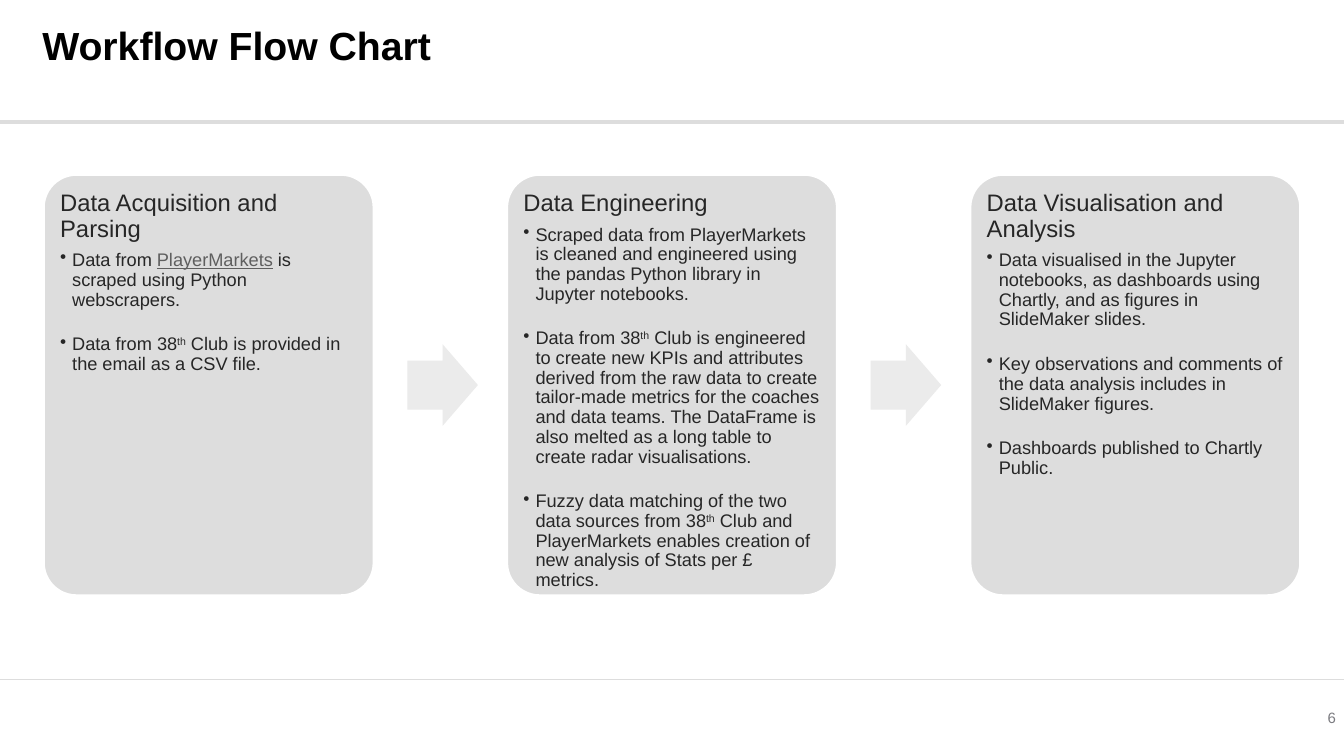
from dataclasses import dataclass

from lxml.etree import SubElement
from pptx import Presentation
from pptx.dml.color import RGBColor
from pptx.enum.shapes import MSO_CONNECTOR, MSO_SHAPE
from pptx.enum.text import MSO_ANCHOR, PP_ALIGN
from pptx.oxml.ns import qn
from pptx.util import Inches, Pt


@dataclass(frozen=True)
class Theme:
    font: str = "Arial"
    white: str = "FFFFFF"
    panel: str = "DDDDDD"
    arrow: str = "EBEBEB"
    title: str = "000000"
    body: str = "262626"
    link: str = "5F5F5F"
    number: str = "7C7C81"
    title_size: float = 28
    heading_size: float = 17
    bullet_size: float = 13
    number_size: float = 10.7


THEME = Theme()
WIDTH, HEIGHT = 13.33, 7.5
MARGIN = 0.43
STAGE_TOP, STAGE_WIDTH, STAGE_HEIGHT = 1.73, 3.28, 4.18
STAGE_PITCH = (WIDTH - 2 * MARGIN - STAGE_WIDTH) / 2
ARROW_WIDTH, ARROW_HEIGHT, ARROW_OFFSET = 0.7, 0.81, 3.61
INDENT = 0.12

PLAIN, LINK, SUPER = "plain", "link", "super"

STAGES = [
    ("Data Acquisition and Parsing", [
        [("Data from ", PLAIN), ("PlayerMarkets", LINK),
         (" is scraped using Python webscrapers.", PLAIN)],
        [("Data from 38", PLAIN), ("th", SUPER),
         (" Club is provided in the email as a CSV file.", PLAIN)],
    ]),
    ("Data Engineering", [
        [("Scraped data from PlayerMarkets is cleaned and engineered using the "
          "pandas Python library in Jupyter notebooks.", PLAIN)],
        [("Data from 38", PLAIN), ("th", SUPER),
         (" Club is engineered to create new KPIs and attributes derived from "
          "the raw data to create tailor-made metrics for the coaches and data "
          "teams. The DataFrame is also melted as a long table to create radar "
          "visualisations.", PLAIN)],
        [("Fuzzy data matching of the two data sources from 38", PLAIN),
         ("th", SUPER),
         (" Club and PlayerMarkets enables creation of new analysis of Stats "
          "per £ metrics.", PLAIN)],
    ]),
    ("Data Visualisation and Analysis", [
        [("Data visualised in the Jupyter notebooks, as dashboards using "
          "Chartly, and as figures in SlideMaker slides.", PLAIN)],
        [("Key observations and comments of the data analysis includes in "
          "SlideMaker figures.", PLAIN)],
        [("Dashboards published to Chartly Public.", PLAIN)],
    ]),
]


def color(code):
    return RGBColor.from_string(code)


def set_insets(frame, inset):
    frame.margin_left = frame.margin_right = Inches(inset)
    frame.margin_top = frame.margin_bottom = Inches(inset)


def add_run(paragraph, text, size, code, bold=False, style=PLAIN):
    run = paragraph.add_run()
    run.text = text
    run.font.name = THEME.font
    run.font.size = Pt(size)
    run.font.bold = bold
    run.font.color.rgb = color(code)
    if style == LINK:
        run.font.underline = True
        run.font.color.rgb = color(THEME.link)
    if style == SUPER:
        run._r.get_or_add_rPr().set("baseline", "30000")


def add_rule(slide, y, weight):
    rule = slide.shapes.add_connector(
        MSO_CONNECTOR.STRAIGHT, 0, Inches(y), Inches(WIDTH), Inches(y))
    rule.line.color.rgb = color(THEME.panel)
    rule.line.width = Pt(weight)
    SubElement(rule._element.spPr, qn("a:effectLst"))


def add_label(slide, box, text, size, code, align, bold=False):
    label = slide.shapes.add_textbox(*map(Inches, box))
    frame = label.text_frame
    set_insets(frame, 0)
    frame.word_wrap = False
    frame.vertical_anchor = MSO_ANCHOR.MIDDLE
    paragraph = frame.paragraphs[0]
    paragraph.alignment = align
    add_run(paragraph, text, size, code, bold)


def add_block(slide, preset, box, fill, adjustments):
    block = slide.shapes.add_shape(preset, *map(Inches, box))
    block.shadow.inherit = False
    block.fill.solid()
    block.fill.fore_color.rgb = color(fill)
    block.line.fill.background()
    for position, value in enumerate(adjustments):
        block.adjustments[position] = value
    return block


def add_bullet(frame, pieces):
    paragraph = frame.add_paragraph()
    properties = paragraph._p.get_or_add_pPr()
    properties.set("marL", str(Inches(INDENT)))
    properties.set("indent", str(-Inches(INDENT)))
    SubElement(properties, qn("a:buChar")).set("char", "•")
    paragraph.alignment = PP_ALIGN.LEFT
    paragraph.line_spacing = 0.9
    paragraph.space_after = Pt(18)
    for text, style in pieces:
        add_run(paragraph, text, THEME.bullet_size, THEME.body, style=style)


def add_stage(slide, left, heading, bullets):
    panel = add_block(slide, MSO_SHAPE.ROUNDED_RECTANGLE,
                      (left, STAGE_TOP, STAGE_WIDTH, STAGE_HEIGHT),
                      THEME.panel, [0.1])
    panel.line.color.rgb = color(THEME.white)
    panel.line.width = Pt(2)
    frame = panel.text_frame
    set_insets(frame, 0.07)
    frame.word_wrap = True
    frame.vertical_anchor = MSO_ANCHOR.TOP
    title = frame.paragraphs[0]
    title.alignment = PP_ALIGN.LEFT
    title.line_spacing = 0.9
    title.space_after = Pt(6)
    add_run(title, heading, THEME.heading_size, THEME.body)
    for pieces in bullets:
        add_bullet(frame, pieces)


def add_arrow(slide, left):
    top = STAGE_TOP + (STAGE_HEIGHT - ARROW_HEIGHT) / 2
    add_block(slide, MSO_SHAPE.RIGHT_ARROW,
              (left, top, ARROW_WIDTH, ARROW_HEIGHT), THEME.arrow, [0.6, 0.5])


def main():
    deck = Presentation()
    deck.slide_width, deck.slide_height = Inches(WIDTH), Inches(HEIGHT)
    slide = deck.slides.add_slide(deck.slide_layouts[6])

    add_rule(slide, 6.74, 1)
    add_rule(slide, 1.21, 3)
    add_label(slide, (12.91, 6.97, 0.34, 0.3), "6", THEME.number_size,
              THEME.number, PP_ALIGN.RIGHT)
    add_label(slide, (0.42, 0.18, 10.98, 0.52), "Workflow Flow Chart",
              THEME.title_size, THEME.title, PP_ALIGN.LEFT, bold=True)

    for column, (heading, bullets) in enumerate(STAGES):
        left = MARGIN + column * STAGE_PITCH
        add_stage(slide, left, heading, bullets)
        if column < len(STAGES) - 1:
            add_arrow(slide, left + ARROW_OFFSET)

    deck.save("out.pptx")


if __name__ == "__main__":
    main()
